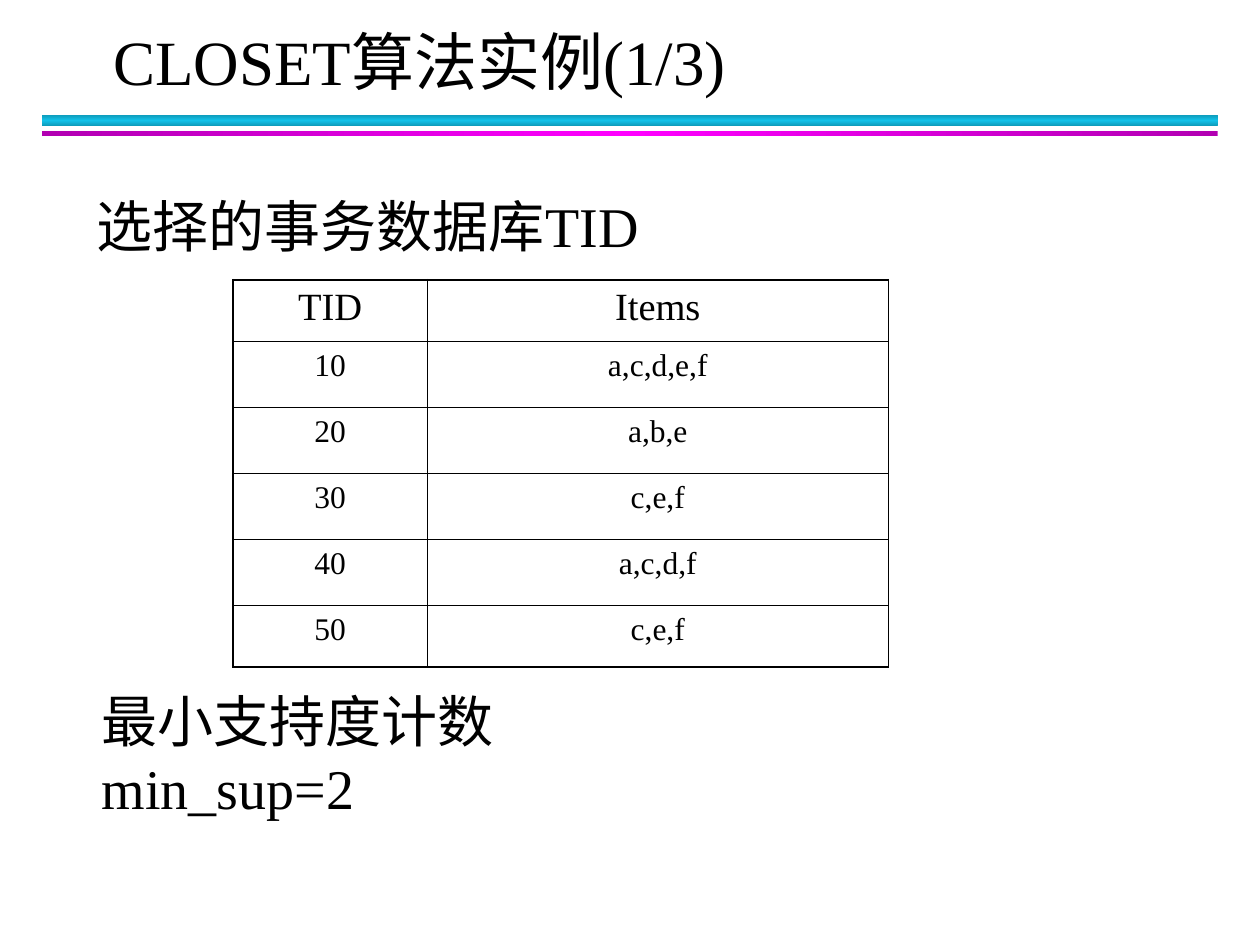
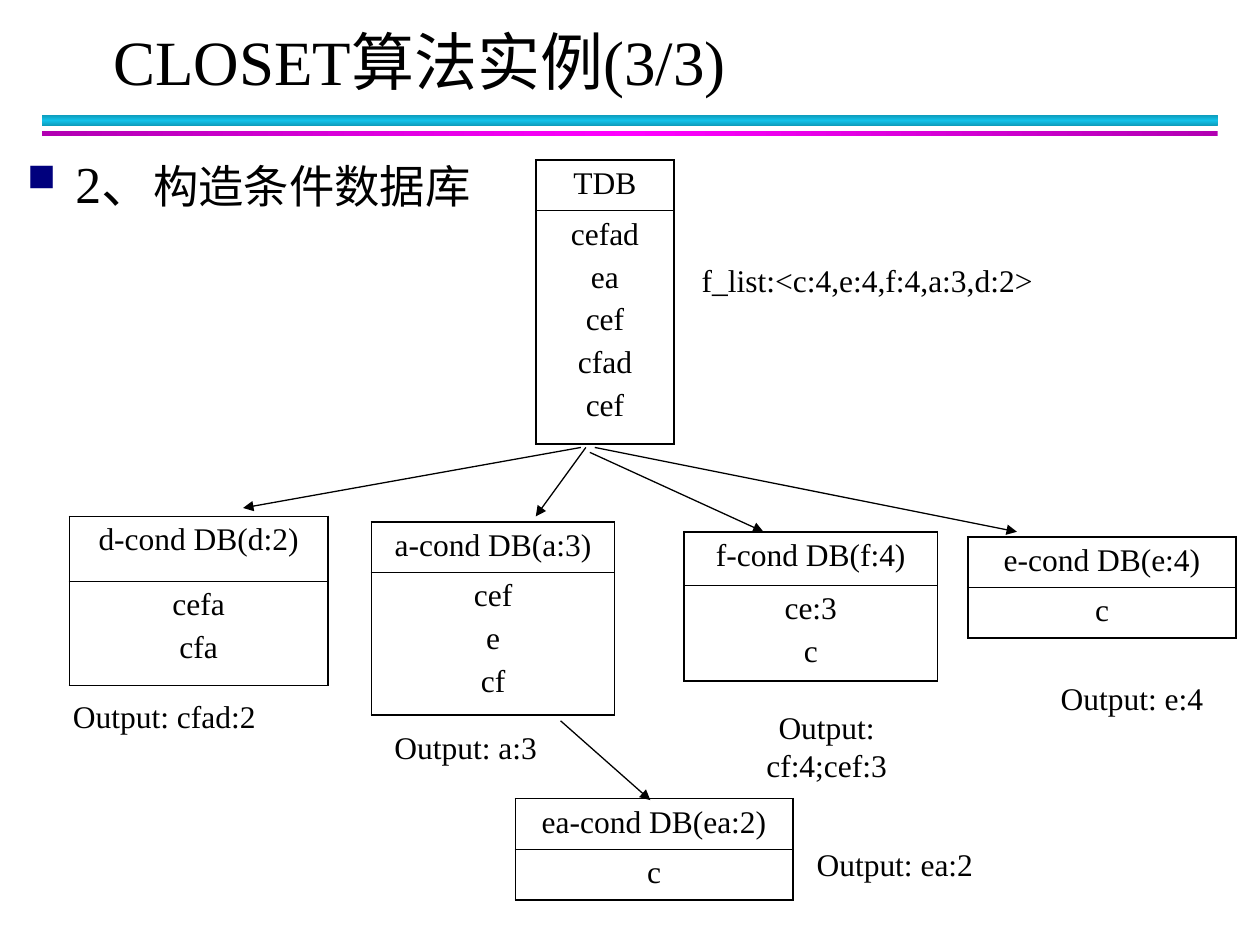
from copy import deepcopy
from lxml import etree
from pptx import Presentation
from pptx.dml.color import RGBColor
from pptx.enum import shapes, text
from pptx.oxml.ns import qn
from pptx.util import Cm, Pt

FONT = "Times New Roman"
BLACK, BULLET_NAVY = "000000", "00007D"
CYAN_EDGE, CYAN = "0E9BBA", "12C2E9"
PURPLE, MAGENTA = "B200B2", "FF00FF"
OUTER, INNER = 1.08, 0.45
LEFT, CENTER = text.PP_ALIGN.LEFT, text.PP_ALIGN.CENTER

TITLE_BOX = (2.03, 0.46, 22.86, 1.52)
BANDS = [
    ((0.85, 2.32, 23.7, 0.22), CYAN_EDGE, CYAN, 90),
    ((0.85, 2.64, 23.7, 0.1), PURPLE, MAGENTA, 0),
]

STATEMENTS = [
    ("选择的事务数据库TID", (1.7, 3.73, 22.3, 1.63)),
    ("最小支持度计数min_sup=2", (1.8, 13.72, 13.5, 2.97)),
]
TRANSACTIONS = [
    ("TID", "Items"),
    ("10", "a,c,d,e,f"),
    ("20", "a,b,e"),
    ("30", "c,e,f"),
    ("40", "a,c,d,f"),
    ("50", "c,e,f"),
]

STEP = [("2、", 29.6), ("构造条件数据库", 25.9)]
DATABASES = [
    ("TDB", ["cefad", "ea", "cef", "cfad", "cef"], (10.8, 3.23), 2.79, (1.02, 4.69)),
    ("d-cond DB(d:2)", ["cefa", "cfa"], (1.4, 10.41), 5.21, (1.3, 2.11)),
    ("a-cond DB(a:3)", ["cef", "e", "cf"], (7.49, 10.52), 4.9, (1.02, 2.87)),
    ("f-cond DB(f:4)", ["ce:3", "c"], (13.79, 10.72), 5.11, (1.07, 1.93)),
    ("e-cond DB(e:4)", ["c"], (19.51, 10.82), 5.41, (1.02, 1.02)),
    ("ea-cond DB(ea:2)", ["c"], (10.39, 16.1), 5.59, (1.02, 1.02)),
]
LABELS = [
    ("f_list:<c:4,e:4,f:4,a:3,d:2>", 13.89, 5.13, 7.19),
    ("Output: cfad:2", 0.51, 13.92, 5.61),
    ("Output: a:3", 7.7, 14.55, 3.38),
    ("Output: cf:4;cef:3", 14.15, 14.15, 5.03),
    ("Output: e:4", 21.13, 13.56, 3.38),
    ("Output: ea:2", 16.21, 16.92, 3.66),
]
ARROWS = [
    (11.71, 9.02, 4.9, 10.24),
    (11.81, 9.02, 10.8, 10.41),
    (11.89, 9.12, 15.39, 10.72),
    (11.99, 9.02, 20.5, 10.72),
    (11.3, 14.53, 13.11, 16.13),
]


def color(value):
    return RGBColor.from_string(value)


def lengths(values):
    return [Cm(value) for value in values]


def add_run(paragraph, words, size):
    run = paragraph.add_run()
    run.text = words
    run.font.name = FONT
    run.font.size = Pt(size)
    run.font.color.rgb = color(BLACK)


def write_lines(frame, lines, size, alignment=LEFT, gap=0):
    for index, line in enumerate(lines):
        paragraph = frame.add_paragraph() if index else frame.paragraphs[0]
        paragraph.alignment = alignment
        if index:
            paragraph.space_before = Pt(gap)
        add_run(paragraph, line, size)


def add_text(slide, box, lines, size, alignment=LEFT, wrap=True):
    frame = slide.shapes.add_textbox(*lengths(box)).text_frame
    frame.word_wrap = wrap
    write_lines(frame, lines, size, alignment)
    return frame


def add_band(slide, box, edge, middle, angle):
    band = slide.shapes.add_shape(shapes.MSO_SHAPE.RECTANGLE, *lengths(box))
    band.shadow.inherit = False
    band.line.fill.background()
    band.fill.gradient()
    band.fill.gradient_angle = angle
    stop_list = band._element.spPr.find(".//" + qn("a:gsLst"))
    stop_list.insert(1, deepcopy(stop_list[0]))
    for stop, position, value in zip(band.fill.gradient_stops, (0, 0.5, 1), (edge, middle, edge)):
        stop.position = position
        stop.color.rgb = color(value)


def add_slide(presentation, part):
    slide = presentation.slides.add_slide(presentation.slide_layouts[5])
    for band in BANDS:
        add_band(slide, *band)
    title = slide.shapes.title
    title.left, title.top, title.width, title.height = lengths(TITLE_BOX)
    frame = title.text_frame
    frame.auto_size = text.MSO_AUTO_SIZE.NONE
    frame.vertical_anchor = text.MSO_ANCHOR.MIDDLE
    write_lines(frame, [f"CLOSET算法实例({part}/3)"], 36)
    return slide


def set_borders(cell, widths):
    properties = cell._tc.get_or_add_tcPr()
    for index, (side, width) in enumerate(zip("LRTB", widths)):
        line = etree.Element(qn(f"a:ln{side}"), w=str(Pt(width)))
        fill = etree.SubElement(line, qn("a:solidFill"))
        etree.SubElement(fill, qn("a:srgbClr"), val=BLACK)
        properties.insert(index, line)


def add_grid(slide, corner, widths, heights, rows, sizes):
    box = (*corner, sum(widths), sum(heights))
    table = slide.shapes.add_table(len(rows), len(widths), *lengths(box)).table
    table.first_row = table.horz_banding = False
    for column, width in zip(table.columns, widths):
        column.width = Cm(width)
    last_row, last_column = len(rows) - 1, len(widths) - 1
    for r, (row, height) in enumerate(zip(rows, heights)):
        table.rows[r].height = Cm(height)
        for c, lines in enumerate(row):
            cell = table.cell(r, c)
            cell.fill.background()
            edges = (c == 0, c == last_column, r == 0, r == last_row)
            set_borders(cell, [OUTER if edge else INNER for edge in edges])
            write_lines(cell.text_frame, lines, sizes[min(r, 1)], CENTER, 4.5)


def add_bullet(paragraph):
    properties = paragraph._p.get_or_add_pPr()
    properties.set("marL", str(Cm(0.97)))
    properties.set("indent", str(Cm(-0.97)))
    bullet_color = etree.SubElement(properties, qn("a:buClr"))
    etree.SubElement(bullet_color, qn("a:srgbClr"), val=BULLET_NAVY)
    etree.SubElement(properties, qn("a:buSzPct"), val="75000")
    etree.SubElement(properties, qn("a:buChar"), char="■")


def add_arrow(slide, ends):
    arrow = slide.shapes.add_connector(shapes.MSO_CONNECTOR.STRAIGHT, *lengths(ends))
    arrow.line.color.rgb = color(BLACK)
    arrow.line.width = Pt(0.75)
    etree.SubElement(arrow.line._get_or_add_ln(), qn("a:tailEnd"), type="triangle")
    etree.SubElement(arrow._element.spPr, qn("a:effectLst"))


def build_transactions(presentation):
    slide = add_slide(presentation, 1)
    for statement, box in STATEMENTS:
        add_text(slide, box, [statement], 32)
    rows = [[[value] for value in row] for row in TRANSACTIONS]
    heights = [1.25] + [1.33] * 4 + [1.24]
    add_grid(slide, (4.7, 5.64), (3.91, 9.3), heights, rows, (22, 18))


def build_conditional_databases(presentation):
    slide = add_slide(presentation, 3)
    frame = add_text(slide, (0.3, 3.18, 10.9, 1.35), [], 18)
    paragraph = frame.paragraphs[0]
    add_bullet(paragraph)
    paragraph.line_spacing = 0.8
    for words, size in STEP:
        add_run(paragraph, words, size)
    for name, lines, corner, width, heights in DATABASES:
        add_grid(slide, corner, [width], heights, [[[name]], [lines]], (18, 18))
    for label, left, top, width in LABELS:
        add_text(slide, (left, top, width, 1.02), [label], 18, CENTER, wrap=False)
    for ends in ARROWS:
        add_arrow(slide, ends)


def main():
    presentation = Presentation()
    presentation.slide_width, presentation.slide_height = Cm(25.4), Cm(19.05)
    build_transactions(presentation)
    build_conditional_databases(presentation)
    presentation.save("out.pptx")


if __name__ == "__main__":
    main()
